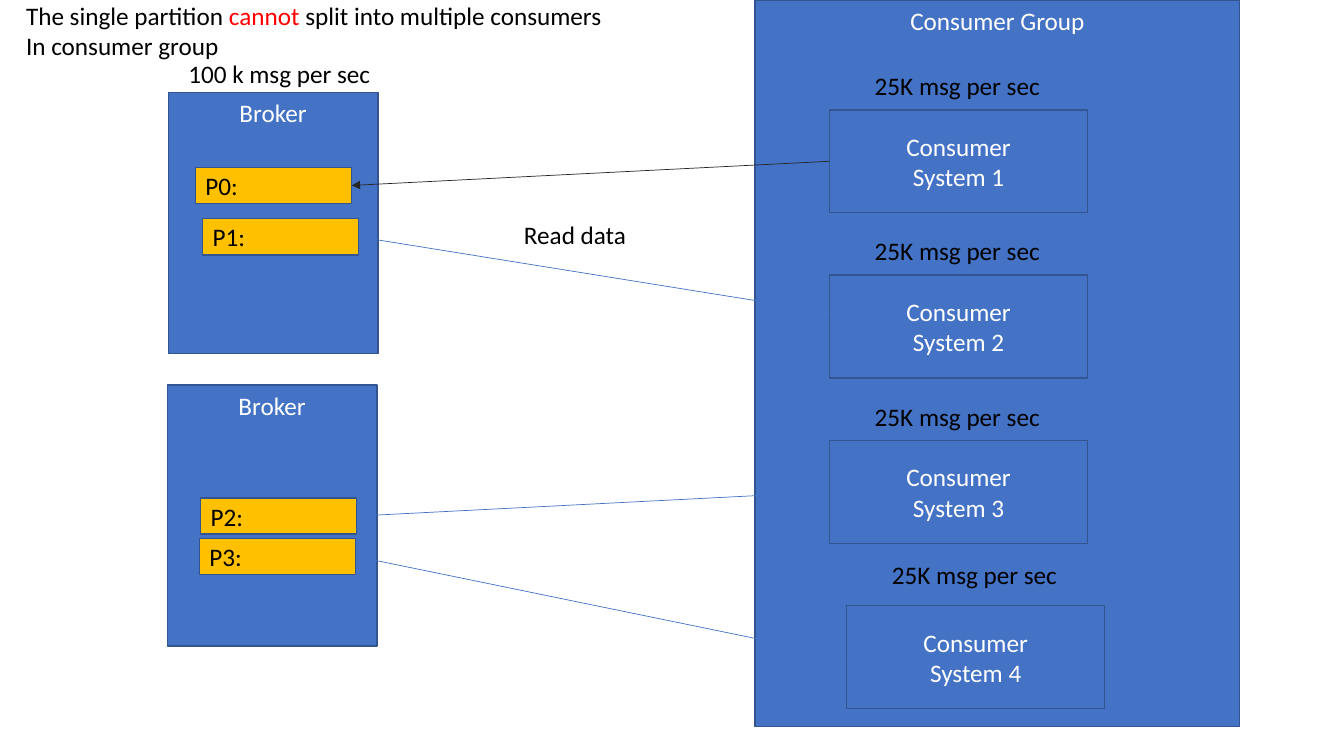
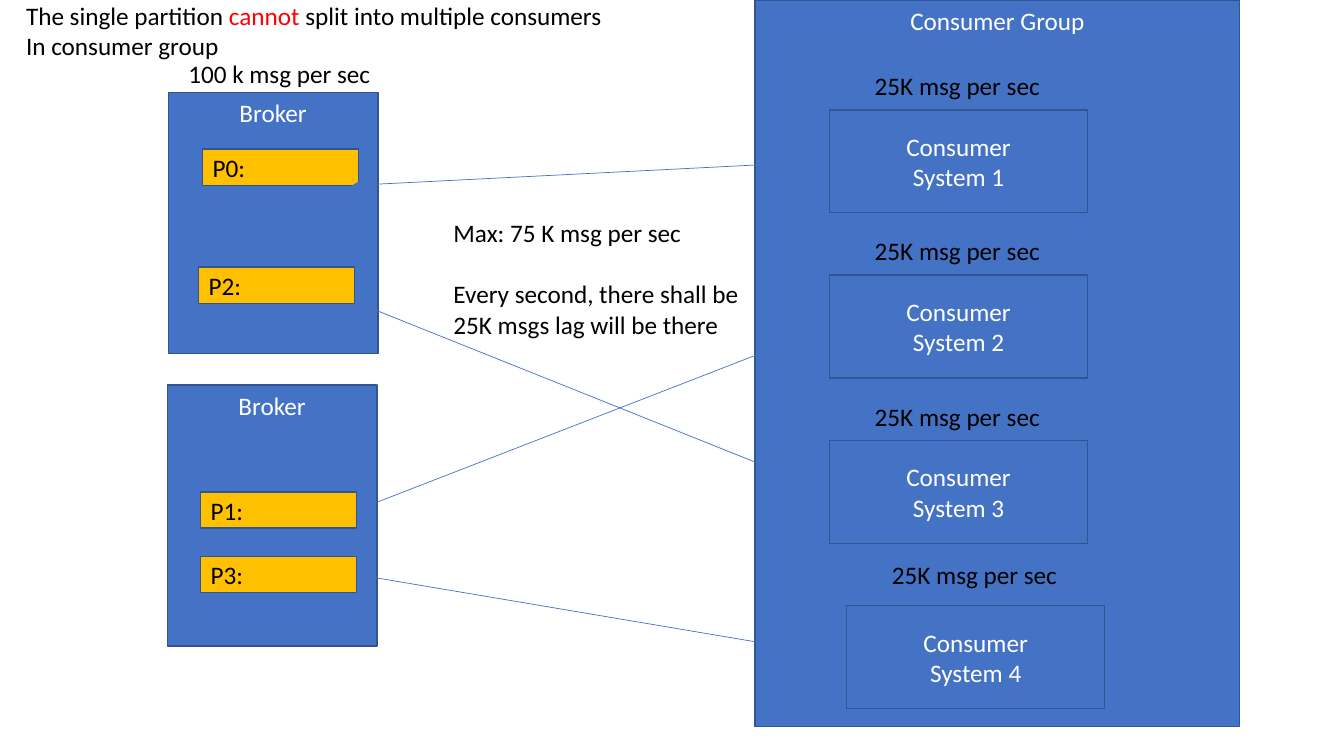
from pptx import Presentation
from pptx.dml.color import RGBColor
from pptx.enum.shapes import MSO_CONNECTOR, MSO_SHAPE
from pptx.enum.text import MSO_ANCHOR, MSO_AUTO_SIZE, PP_ALIGN
from pptx.oxml.ns import qn
from pptx.util import Pt
from lxml.etree import SubElement

FONT = "Calibri"
BLUE, EDGE, GOLD = "4472C4", "325491", "FFC000"
BLACK, WHITE, RED, DARK = "000000", "FFFFFF", "FF0000", "262626"

PARTITION_WIDTH, PARTITION_HEIGHT = 111.6, 25.92
CONSUMER_LEFT, CONSUMER_TOP, CONSUMER_PITCH = 592.56, 78.48, 118.08
CONSUMER_WIDTH, CONSUMER_HEIGHT = 184.32, 73.44
LAST_SHIFT = 12.24


def color(code):
    return RGBColor.from_string(code)


def style_text(frame, ink, align=PP_ALIGN.LEFT):
    for para in frame.paragraphs:
        para.alignment = align
        for span in para.runs:
            span.font.name = FONT
            span.font.size = Pt(18)
            span.font.color.rgb = color(ink)


def add_box(page, left, top, width, height, text, fill=BLUE, ink=WHITE,
            anchor=MSO_ANCHOR.MIDDLE, align=PP_ALIGN.CENTER):
    box = page.shapes.add_shape(MSO_SHAPE.RECTANGLE, Pt(left), Pt(top), Pt(width), Pt(height))
    box.shadow.inherit = False
    box.fill.solid()
    box.fill.fore_color.rgb = color(fill)
    box.line.color.rgb = color(EDGE)
    box.line.width = Pt(1)
    box.text_frame.text = text
    box.text_frame.vertical_anchor = anchor
    style_text(box.text_frame, ink, align)


def add_label(page, left, top, width, height, text):
    box = page.shapes.add_textbox(Pt(left), Pt(top), Pt(width), Pt(height))
    frame = box.text_frame
    frame.word_wrap = False
    frame.auto_size = MSO_AUTO_SIZE.SHAPE_TO_FIT_TEXT
    frame.text = text
    style_text(frame, BLACK)
    return frame


def add_arrow(page, start, end, ink):
    arrow = page.shapes.add_connector(MSO_CONNECTOR.STRAIGHT, *map(Pt, start + end))
    arrow.line.color.rgb = color(ink)
    arrow.line.width = Pt(0.5)
    SubElement(arrow.line._get_or_add_ln(), qn("a:tailEnd"), type="triangle")
    SubElement(arrow._element.spPr, qn("a:effectLst"))


def add_heading(page):
    frame = add_label(page, 11.52, -3.6, 430.56, 51.12,
                      "The single partition \nIn consumer group ")
    first = frame.paragraphs[0]
    warning = first.add_run()
    warning.text = "cannot"
    first.add_run().text = " split into multiple consumers"
    style_text(frame, BLACK)
    warning.font.color.rgb = color(RED)


def add_consumers(page):
    for index in range(4):
        last = index == 3
        shift = LAST_SHIFT if last else 0
        top = CONSUMER_TOP + index * CONSUMER_PITCH
        add_box(page, CONSUMER_LEFT + shift, top, CONSUMER_WIDTH, CONSUMER_HEIGHT,
                f"Consumer\nSystem {index + 1}")
        add_label(page, 617.76 + shift, top - (36.72 if last else 31.68),
                  133.92, 28.8, "25K msg per sec")


def add_system(page):
    for left, top, width, height, name in (
            (119.52, 275.04, 149.76, 186.48, "Broker"),
            (539.28, 0, 346.32, 519.12, "Consumer Group"),
            (120.24, 66.24, 149.76, 186.48, "Broker")):
        add_box(page, left, top, width, height, name, anchor=MSO_ANCHOR.TOP)
    add_consumers(page)
    add_label(page, 127.44, 38.16, 146.16, 28.8, "100 k msg per sec")
    add_heading(page)


def add_partitions(page, places):
    for name, (left, top) in places.items():
        add_box(page, left, top, PARTITION_WIDTH, PARTITION_HEIGHT, f"{name}:",
                GOLD, BLACK, align=PP_ALIGN.LEFT)


def middle_right(place):
    left, top = place
    return left + PARTITION_WIDTH, top + PARTITION_HEIGHT / 2


def middle_left(number):
    shift = LAST_SHIFT if number == 4 else 0
    top = CONSUMER_TOP + (number - 1) * CONSUMER_PITCH
    return CONSUMER_LEFT + shift, top + CONSUMER_HEIGHT / 2


def add_even_page(deck):
    page = deck.slides.add_slide(deck.slide_layouts[6])
    add_system(page)
    add_label(page, 367.2, 153.36, 88.56, 28.8, "Read data")
    places = {"P0": (139.68, 119.52), "P1": (144.72, 156.24),
              "P2": (143.28, 355.68), "P3": (142.56, 384.48)}
    add_partitions(page, places)
    add_arrow(page, middle_left(1), middle_right(places["P0"]), DARK)
    add_arrow(page, (CONSUMER_LEFT, 223.2), middle_right(places["P1"]), BLUE)
    add_arrow(page, middle_left(3), middle_right(places["P2"]), BLUE)
    add_arrow(page, middle_left(4), middle_right(places["P3"]), BLUE)


def add_lag_page(deck):
    page = deck.slides.add_slide(deck.slide_layouts[6])
    add_system(page)
    note = add_label(page, 316.8, 151.92, 224.64, 94.32,
                     "Max: 75 K msg per sec\nEvery second, there shall be \n"
                     "25K msgs lag will be there")
    note.paragraphs[1].space_before = Pt(22)
    places = {"P0": (144.72, 106.56), "P1": (143.28, 351.36),
              "P2": (141.84, 190.8), "P3": (143.28, 397.44)}
    add_partitions(page, places)
    add_arrow(page, middle_left(1), (251.28, 132.48), BLUE)
    add_arrow(page, middle_left(2), middle_right(places["P1"]), BLUE)
    add_arrow(page, middle_left(3), (256.32, 216.72), BLUE)
    add_arrow(page, middle_left(4), middle_right(places["P3"]), BLUE)


def main():
    deck = Presentation()
    deck.slide_width, deck.slide_height = Pt(960), Pt(540)
    add_even_page(deck)
    add_lag_page(deck)
    deck.save("out.pptx")


main()
